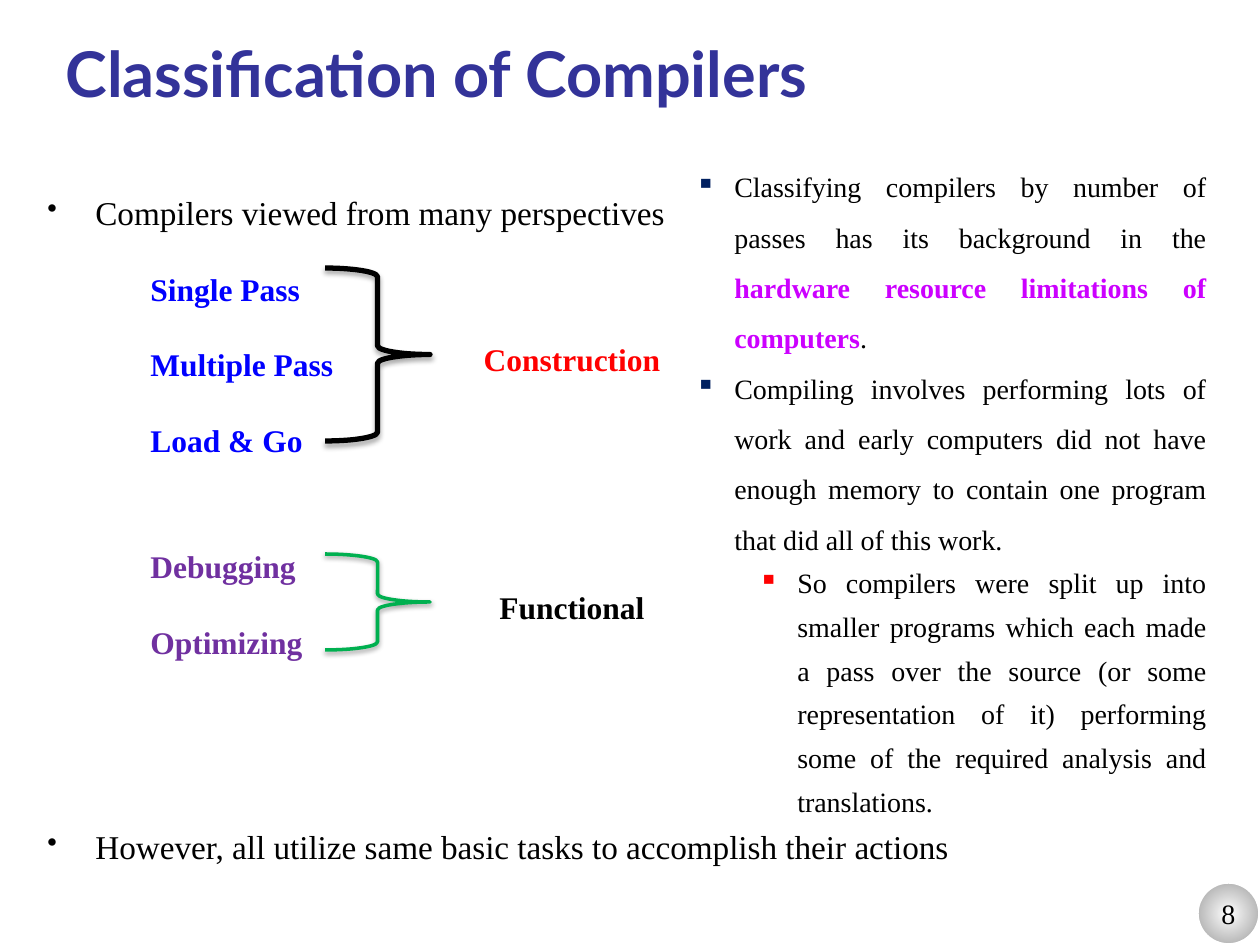
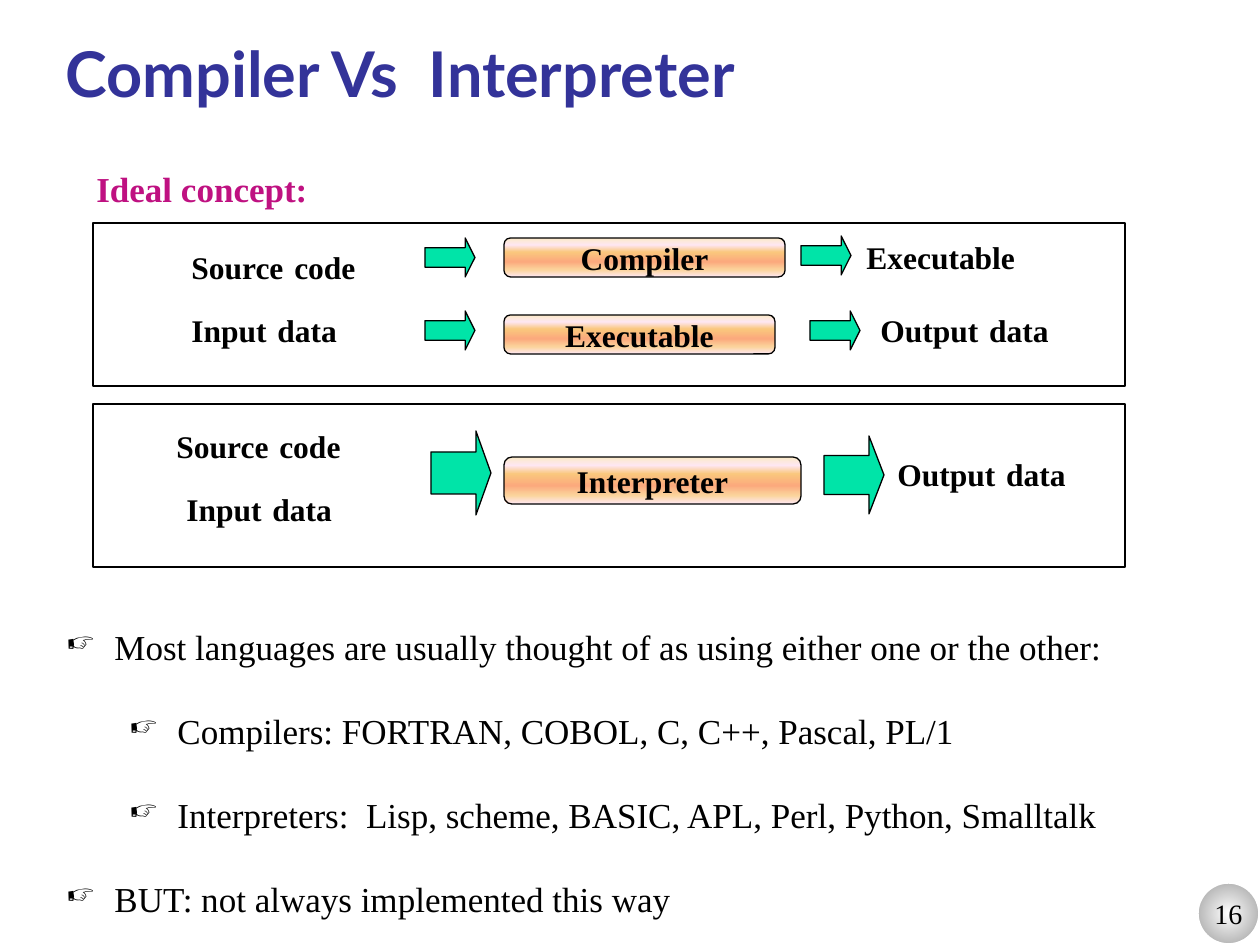
from pptx import Presentation
from pptx.dml.color import RGBColor
from pptx.enum.shapes import MSO_SHAPE
from pptx.enum.text import MSO_ANCHOR, PP_ALIGN
from pptx.oxml import parse_xml
from pptx.oxml.ns import nsdecls, qn
from pptx.util import Pt

SCALE = 914400 / 126  # EMU in one px

ELLIPSE, BRACE = MSO_SHAPE.OVAL, MSO_SHAPE.RIGHT_BRACE
RECT, ROUND_RECT, ARROW = MSO_SHAPE.RECTANGLE, MSO_SHAPE.ROUNDED_RECTANGLE, MSO_SHAPE.RIGHT_ARROW
TOP, MIDDLE, BOTTOM = MSO_ANCHOR.TOP, MSO_ANCHOR.MIDDLE, MSO_ANCHOR.BOTTOM
LEFT, CENTER, JUSTIFY = PP_ALIGN.LEFT, PP_ALIGN.CENTER, PP_ALIGN.JUSTIFY

COLORS = {
    "title": "333399", "text": "000000", "white": "FFFFFF", "grey": "979797",
    "blue": "0000FF", "purple": "7030A0", "red": "FF0000", "green": "00B050",
    "magenta": "CC00FF", "navy": "002060", "pink": "BF1181", "mint": "00E4A8",
}
BADGE_STOPS = [(0, COLORS["white"]), (100, COLORS["grey"])]
BUTTON_STOPS = [(0, "FBEAC7"), (18, "FEE7F2"), (36, "FAC77D"),
                (61, "FBA97D"), (82, "FBD49C"), (100, "FEE7F2")]
RADIAL = '<a:path path="circle"><a:fillToRect l="50000" t="50000" r="50000" b="50000"/></a:path>'
DOWNWARD = '<a:lin ang="5400000" scaled="0"/>'

SERIF, SANS = "Times New Roman", "Lato"


def px(n):
    return round(n * SCALE)


def xml(tag, attrs="", inner=""):
    return parse_xml(f'<a:{tag} {nsdecls("a")} {attrs}>{inner}</a:{tag}>')


def add_run(p, text, size=18, color="text", bold=False, name=SERIF):
    r = p.add_run()
    r.text = text
    for key, value in {"size": Pt(size), "bold": bold, "name": name}.items():
        setattr(r.font, key, value)
    r.font.color.rgb = RGBColor.from_string(COLORS[color])


def set_bullet(p, char, percent=100, color="text"):
    pPr = p._p.get_or_add_pPr()
    pPr.append(xml("buClr", inner=f'<a:srgbClr val="{COLORS[color]}"/>'))
    pPr.append(xml("buSzPct", f'val="{percent * 1000}"'))
    pPr.append(xml("buChar", f'char="{char}"'))


def fill_paragraph(p, runs, margin=0, indent=0, bullet=None, **fmt):
    """Write (text, font values) runs; fmt holds paragraph attributes."""
    pPr = p._p.get_or_add_pPr()
    pPr.set("marL", str(px(margin)))
    pPr.set("indent", str(px(indent)))
    if bullet:
        set_bullet(p, **bullet)
    for key, value in fmt.items():
        setattr(p, key, value)
    for text, font in runs:
        add_run(p, text, **font)


def add_text(slide, box, paragraphs, anchor=TOP):
    tf = slide.shapes.add_textbox(*map(px, box)).text_frame
    tf.word_wrap = True
    tf.vertical_anchor = anchor
    for i, spec in enumerate(paragraphs):
        p = tf.add_paragraph() if i else tf.paragraphs[0]
        fill_paragraph(p, **spec)


def add_shape(slide, kind, box, line="text", width=0.75, fill=None):
    sp = slide.shapes.add_shape(kind, *map(px, box))
    sp.shadow.inherit = False
    if fill:
        sp.fill.solid()
        sp.fill.fore_color.rgb = RGBColor.from_string(COLORS[fill])
    else:
        sp.fill.background()
    sp.line.color.rgb = RGBColor.from_string(COLORS[line])
    sp.line.width = Pt(width)
    return sp


def set_gradient(sp, stops, direction):
    gs = "".join(f'<a:gs pos="{pos * 1000}"><a:srgbClr val="{c}"/></a:gs>' for pos, c in stops)
    spPr = sp._element.spPr
    spPr.replace(spPr.find(qn("a:noFill")),
                 xml("gradFill", 'rotWithShape="1"', f"<a:gsLst>{gs}</a:gsLst>{direction}"))


def set_label(sp, text, **font):
    tf = sp.text_frame
    tf.word_wrap = False
    tf.vertical_anchor = MIDDLE
    fill_paragraph(tf.paragraphs[0], [(text, font)], alignment=CENTER)


def add_base(prs, title, number):
    """Add a blank slide with the shared title and page badge."""
    slide = prs.slides.add_slide(prs.slide_layouts[6])
    badge = add_shape(slide, ELLIPSE, (1197, 882, 63, 63), "white", 2)
    set_gradient(badge, BADGE_STOPS, RADIAL)
    set_label(badge, str(number), size=16)
    font = {"size": 36, "color": "title", "bold": True, "name": SANS}
    add_text(slide, (53, 32, 1155, 84), [{"runs": [(title, font)]}], BOTTOM)
    return slide


def add_brace(slide, box, color, width, alpha, distance):
    sp = add_shape(slide, BRACE, box, color, width)
    shadow = (f'<a:srgbClr val="{COLORS["text"]}"><a:alpha val="{alpha * 1000}"/></a:srgbClr>')
    sp._element.spPr.find(qn("a:effectLst")).append(
        xml("outerShdw", f'blurRad="{Pt(3.1)}" dist="{Pt(distance)}" dir="5400000" '
                         'rotWithShape="0"', shadow))


def add_category(slide, top, text, color):
    add_text(slide, (441, top, 262, 67),
             [{"runs": [(text, {"color": color, "bold": True})], "alignment": CENTER}], MIDDLE)


def add_button(slide, left, top, width, height, text):
    sp = add_shape(slide, ROUND_RECT, (left, top, width, height))
    sp.adjustments[0] = 0.167
    set_gradient(sp, BUTTON_STOPS, DOWNWARD)
    set_label(sp, text, bold=True)


def add_arrow(slide, *box):
    sp = add_shape(slide, ARROW, box, fill="mint")
    sp.adjustments[0], sp.adjustments[1] = 0.5, 0.25


def add_term(slide, left, top, width, text):
    """Add a bold term whose words are parted by a larger sans space."""
    runs = []
    for word in text.split():
        if runs:
            runs.append((" ", {"size": 24, "name": SANS}))
        runs.append((word, {"bold": True}))
    add_text(slide, (left, top, width, 63), [{"runs": runs}])


def build_classification(prs):
    slide = add_base(prs, "Classification of Compilers", 8)

    def point(text, **fmt):
        return {"runs": [(text, {"size": 19})], "margin": 48, "indent": -48, "line_spacing": 2.0,
                "alignment": JUSTIFY, "bullet": {"char": "•", "percent": 85}, **fmt}

    def kind(text, color, **fmt):
        return {"runs": [(text, {"color": color, "bold": True})], "margin": 126, "indent": -23,
                "line_spacing": 2.0, "alignment": LEFT, **fmt}

    def note(*runs, margin=39, spacing=1.5, color="navy"):
        return {"runs": [(text, {"size": 16, **font}) for text, font in runs], "margin": margin,
                "indent": -39, "line_spacing": spacing, "alignment": JUSTIFY,
                "bullet": {"char": "▪", "color": color}}

    add_text(slide, (35, 146, 1183, 746), [
        point("Compilers viewed from many perspectives"),
        kind("Single Pass", "blue"),
        kind("Multiple Pass", "blue"),
        kind("Load & Go", "blue"),
        kind("Debugging", "purple", space_before=Pt(28.8)),
        kind("Optimizing", "purple"),
        point("However, all utilize same basic tasks to accomplish their actions",
              space_before=Pt(72)),
    ])
    add_text(slide, (683, 147, 536, 590), [
        note(("Classifying compilers by number of passes has its background in the ", {}),
             ("hardware resource limitations of computers", {"color": "magenta", "bold": True}),
             (".", {})),
        note(("Compiling involves performing lots of work and early computers did not have "
              "enough memory to contain one program that did all of this work.", {})),
        note(("So compilers were split up into smaller programs which each made a pass over "
              "the source (or some representation of it) performing some of the required "
              "analysis and translations.", {}), margin=102, spacing=1.3, color="red"),
    ])
    add_brace(slide, (325, 268, 105, 173), "text", 3, 35, 1.8)
    add_category(slide, 325, "Construction", "red")
    add_brace(slide, (325, 554, 105, 96), "green", 2, 38, 1.6)
    add_category(slide, 573, "Functional", "text")


def build_comparison(prs):
    slide = add_base(prs, "Compiler Vs  Interpreter", 16)
    add_text(slide, (76, 161, 1022, 373), [
        {"runs": [("Ideal concept:", {"size": 20, "color": "pink", "bold": True})],
         "margin": 102, "indent": -94}])

    for top in (223, 404):
        add_shape(slide, RECT, (93, top, 1032, 163))
    for button in [(504, 238, 281, 39, "Compiler"), (504, 315, 271, 39, "Executable"),
                   (504, 457, 297, 47, "Interpreter")]:
        add_button(slide, *button)
    for arrow in [(425, 238, 50, 39), (801, 236, 50, 39), (425, 311, 50, 39),
                  (810, 311, 50, 39), (431, 431, 60, 84), (824, 436, 60, 78)]:
        add_arrow(slide, *arrow)
    for term in [(179, 231, 200, "Source code"), (179, 294, 214, "Input data"),
                 (854, 232, 290, "Executable"), (868, 294, 207, "Output data"),
                 (164, 410, 200, "Source code"), (174, 473, 214, "Input data"),
                 (885, 438, 197, "Output data")]:
        add_term(slide, *term)

    points = [
        (48, "Most languages are usually thought of as using either one or the other:"),
        (111, "Compilers: FORTRAN, COBOL, C, C++, Pascal, PL/1"),
        (111, "Interpreters:  Lisp, scheme, BASIC, APL, Perl, Python, Smalltalk"),
        (48, "BUT: not always implemented this way"),
    ]
    add_text(slide, (54, 577, 1164, 315), [
        {"runs": [(text, {"size": 20})], "margin": margin, "indent": -48, "line_spacing": 2.0,
         "alignment": JUSTIFY, "bullet": {"char": "☞", "percent": 80}}
        for margin, text in points])


def main():
    prs = Presentation()
    prs.slide_width, prs.slide_height = px(1260), px(945)
    build_classification(prs)
    build_comparison(prs)
    prs.save("out.pptx")


if __name__ == "__main__":
    main()
